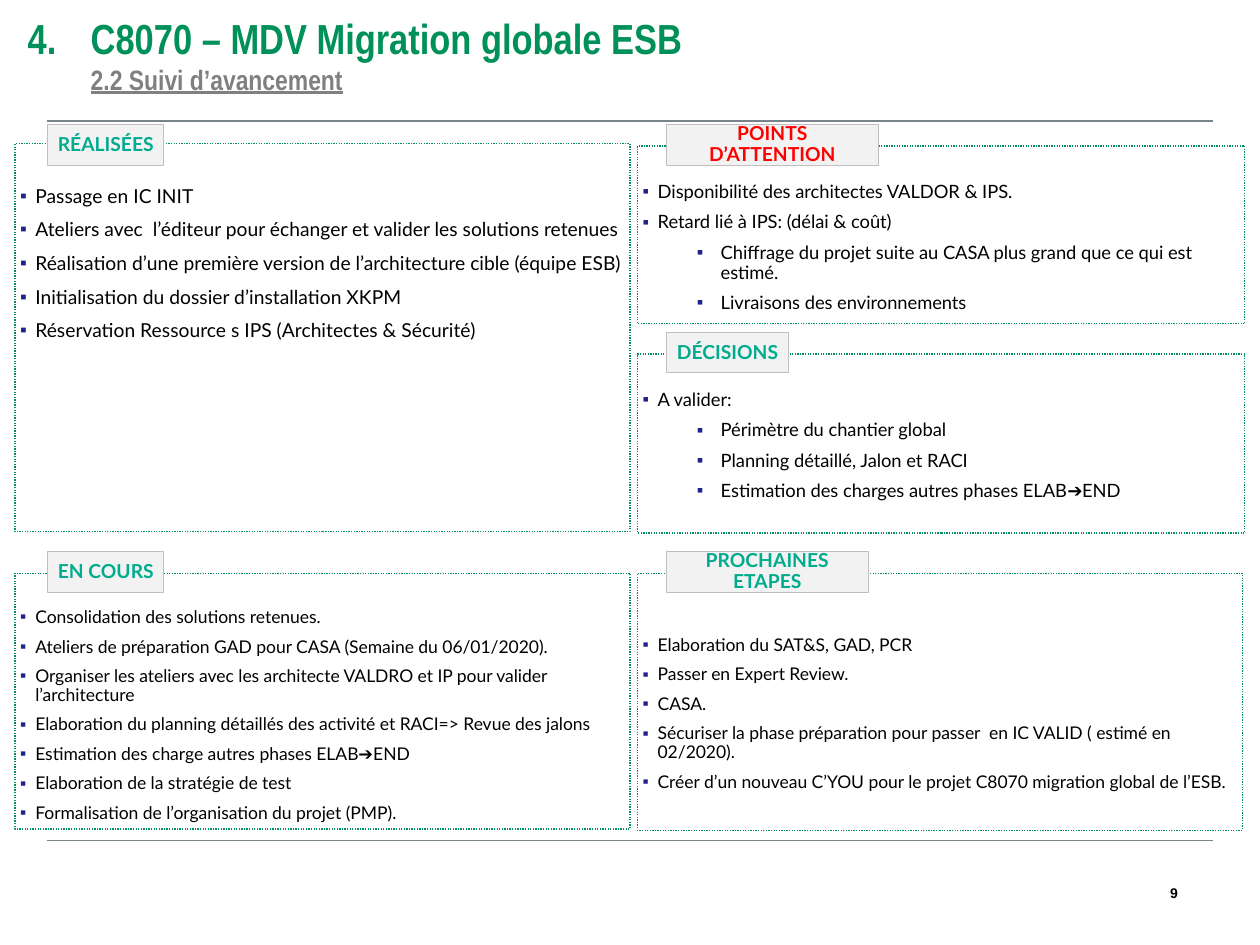
from dataclasses import dataclass

from lxml import etree
from pptx import Presentation
from pptx.dml.color import RGBColor
from pptx.enum.dml import MSO_LINE
from pptx.enum.shapes import MSO_CONNECTOR, MSO_SHAPE
from pptx.enum.text import MSO_ANCHOR, MSO_AUTO_SIZE, PP_ALIGN
from pptx.oxml.ns import qn
from pptx.util import Inches, Pt

RECTANGLE = MSO_SHAPE.RECTANGLE
STRAIGHT = MSO_CONNECTOR.STRAIGHT
DOTTED = MSO_LINE.ROUND_DOT
TOP, MIDDLE = MSO_ANCHOR.TOP, MSO_ANCHOR.MIDDLE
LEFT, CENTER, RIGHT = PP_ALIGN.LEFT, PP_ALIGN.CENTER, PP_ALIGN.RIGHT

GREEN = RGBColor(0x00, 0x91, 0x5A)
TEAL = RGBColor(0x00, 0xAB, 0x8E)
RED = RGBColor(0xFF, 0x00, 0x00)
BLACK = RGBColor(0x00, 0x00, 0x00)
WHITE = RGBColor(0xFF, 0xFF, 0xFF)
SUBTITLE_GREY = RGBColor(0x80, 0x80, 0x80)
RULE_GREY = RGBColor(0x78, 0x84, 0x8A)
TAG_FILL = RGBColor(0xF2, 0xF2, 0xF2)
TAG_BORDER = RGBColor(0xBF, 0xBF, 0xBF)
BULLET_COLOR = "22228B"

SLIDE_W, SLIDE_H = Inches(10), Inches(7.5)
COL, ROW = SLIDE_W / 100, SLIDE_H / 75
LEFT_COL, RIGHT_COL = 1.2, 50.6
LEFT_TAG, RIGHT_TAG = 3.8, 52.9
TAG_H = 3.2
INDENTS = ((0.12, -0.12), (0.62, -0.19))


@dataclass(frozen=True)
class Box:
    col: float
    row: float
    cols: float
    rows: float

    def emu(self) -> tuple:
        return (round(self.col * COL), round(self.row * ROW),
                round(self.cols * COL), round(self.rows * ROW))


@dataclass(frozen=True)
class Item:
    text: str
    level: int = 0


@dataclass(frozen=True)
class Panel:
    title: str
    tag: Box
    body: Box
    text_top: float
    size: float
    items: tuple
    title_color: RGBColor = TEAL
    spacing: float = 0.9


PANELS = (
    Panel("RÉALISÉES", Box(LEFT_TAG, 9.9, 9.2, TAG_H), Box(LEFT_COL, 11.4, 48.8, 30.8), 3.2, 11, (
        Item("Passage en IC INIT"),
        Item("Ateliers avec  l’éditeur pour échanger et valider les solutions retenues"),
        Item("Réalisation d’une première version de l’architecture cible (équipe ESB)"),
        Item("Initialisation du dossier d’installation XKPM"),
        Item("Réservation Ressource s IPS (Architectes & Sécurité)"),
    ), spacing=1.0),
    Panel("PROCHAINES ETAPES", Box(RIGHT_TAG, 43.8, 16, TAG_H), Box(RIGHT_COL, 45.5, 48, 20.4), 5, 10, (
        Item("Elaboration du SAT&S, GAD, PCR"),
        Item("Passer en Expert Review."),
        Item("CASA."),
        Item("Sécuriser la phase préparation pour passer  en IC VALID ( estimé en 02/2020)."),
        Item("Créer d’un nouveau C’YOU pour le projet C8070 migration global de l’ESB."),
    )),
    Panel("EN COURS", Box(LEFT_TAG, 43.8, 9.2, TAG_H), Box(LEFT_COL, 45.5, 48.8, 20.3), 2.8, 10, (
        Item("Consolidation des solutions retenues."),
        Item("Ateliers de préparation GAD pour CASA (Semaine du 06/01/2020)."),
        Item("Organiser les ateliers avec les architecte VALDRO et IP pour valider l’architecture"),
        Item("Elaboration du planning détaillés des activité et RACI=> Revue des jalons"),
        Item("Estimation des charge autres phases ELAB➔END"),
        Item("Elaboration de la stratégie de test"),
        Item("Formalisation de l’organisation du projet (PMP)."),
    )),
    Panel("POINTS D’ATTENTION", Box(RIGHT_TAG, 9.9, 16.8, TAG_H), Box(RIGHT_COL, 11.6, 48.2, 14.1), 2.9, 10.5, (
        Item("Disponibilité des architectes VALDOR & IPS."),
        Item("Retard lié à IPS: (délai & coût)"),
        Item("Chiffrage du projet suite au CASA plus grand que ce qui est estimé.", 1),
        Item("Livraisons des environnements", 1),
    ), title_color=RED),
    Panel("DÉCISIONS", Box(RIGHT_TAG, 26.4, 9.7, TAG_H), Box(RIGHT_COL, 28.1, 48.2, 14.2), 2.9, 10.5, (
        Item("A valider:"),
        Item("Périmètre du chantier global", 1),
        Item("Planning détaillé, Jalon et RACI", 1),
        Item("Estimation des charges autres phases ELAB➔END", 1),
    )),
)


def set_font(font, name: str, size: float, color: RGBColor, bold: bool = False) -> None:
    font.name, font.size, font.bold = name, Pt(size), bold
    font.color.rgb = color


def set_frame(tf, anchor, side: float = 0, top: float = 0, bottom: float = 0) -> None:
    tf.word_wrap = True
    tf.auto_size = MSO_AUTO_SIZE.NONE
    tf.vertical_anchor = anchor
    tf.margin_left = tf.margin_right = round(side * COL)
    tf.margin_top, tf.margin_bottom = round(top * ROW), round(bottom * ROW)


def set_indent(p, margin: float, hanging: float):
    p_pr = p._p.get_or_add_pPr()
    p_pr.set("marL", str(Inches(margin)))
    p_pr.set("indent", str(Inches(hanging)))
    return p_pr


def add_bullet(p, level: int) -> None:
    p_pr = set_indent(p, *INDENTS[level])
    color = etree.Element(qn("a:buClr"))
    etree.SubElement(color, qn("a:srgbClr")).set("val", BULLET_COLOR)
    font = etree.Element(qn("a:buFont"), typeface="Arial")
    char = etree.Element(qn("a:buChar"), char="▪")
    def_r_pr = p_pr.find(qn("a:defRPr"))
    for element in (color, font, char):
        def_r_pr.addprevious(element)


def add_rectangle(s, box: Box, fill: RGBColor, border: RGBColor, width: float):
    sp = s.shapes.add_shape(RECTANGLE, *box.emu())
    sp.shadow.inherit = False
    sp.fill.solid()
    sp.fill.fore_color.rgb = fill
    sp.line.color.rgb = border
    sp.line.width = Pt(width)
    return sp


def add_body(s, panel: Panel) -> None:
    sp = add_rectangle(s, panel.body, WHITE, GREEN, 0.75)
    sp.line.dash_style = DOTTED
    tf = sp.text_frame
    set_frame(tf, TOP, 0.4, panel.text_top, 0.5)
    for i, item in enumerate(panel.items):
        p = tf.add_paragraph() if i else tf.paragraphs[0]
        p.text = item.text
        p.alignment = LEFT
        p.line_spacing = panel.spacing
        p.space_before = Pt(6 if i else 0)
        set_font(p.font, "Lato", panel.size, BLACK)
        add_bullet(p, item.level)


def add_tag(s, panel: Panel) -> None:
    tf = add_rectangle(s, panel.tag, TAG_FILL, TAG_BORDER, 0.5).text_frame
    set_frame(tf, MIDDLE, 0.4, 0.5, 0.5)
    p = tf.paragraphs[0]
    p.text = panel.title
    p.alignment = CENTER
    p.line_spacing = 0.9
    set_font(p.font, "Lato", 11, panel.title_color, True)


def add_rule(s, row: float) -> None:
    y = round(row * ROW)
    line = s.shapes.add_connector(STRAIGHT, round(3.7 * COL), y, round(96.3 * COL), y)
    line.line.color.rgb = RULE_GREY
    line.line.width = Pt(1)
    etree.SubElement(line._element.spPr, qn("a:effectLst"))


def fill_title(s) -> None:
    sp = s.shapes.title
    sp.left, sp.top, sp.width, sp.height = Box(2.2, 0.2, 94.3, 8.2).emu()
    set_frame(sp.text_frame, MIDDLE)
    p = sp.text_frame.paragraphs[0]
    p.alignment = LEFT
    set_font(p.font, "Arial Narrow", 24, GREEN, True)
    number = etree.Element(qn("a:buAutoNum"), type="arabicPeriod", startAt="4")
    set_indent(p, 0.5, -0.5).find(qn("a:defRPr")).addprevious(number)
    p.add_run().text = "C8070 – MDV Migration globale ESB"
    p.add_line_break()
    r = p.add_run()
    r.text = "2.2 Suivi d’avancement"
    set_font(r.font, "Arial Narrow", 16, SUBTITLE_GREY, True)
    r.font.underline = True


def add_page_number(s, number: int) -> None:
    tf = s.shapes.add_textbox(*Box(91.5, 69.9, 2, 2).emu()).text_frame
    set_frame(tf, MIDDLE)
    p = tf.paragraphs[0]
    p.text = str(number)
    p.alignment = RIGHT
    set_font(p.font, "Arial", 8, BLACK, True)


def main() -> None:
    prs = Presentation()
    prs.slide_width, prs.slide_height = SLIDE_W, SLIDE_H
    s = prs.slides.add_slide(prs.slide_layouts[5])
    for row in (66.7, 9.6):
        add_rule(s, row)
    fill_title(s)
    add_page_number(s, 9)
    for panel in PANELS:
        add_body(s, panel)
        add_tag(s, panel)
    prs.save("out.pptx")


if __name__ == "__main__":
    main()
